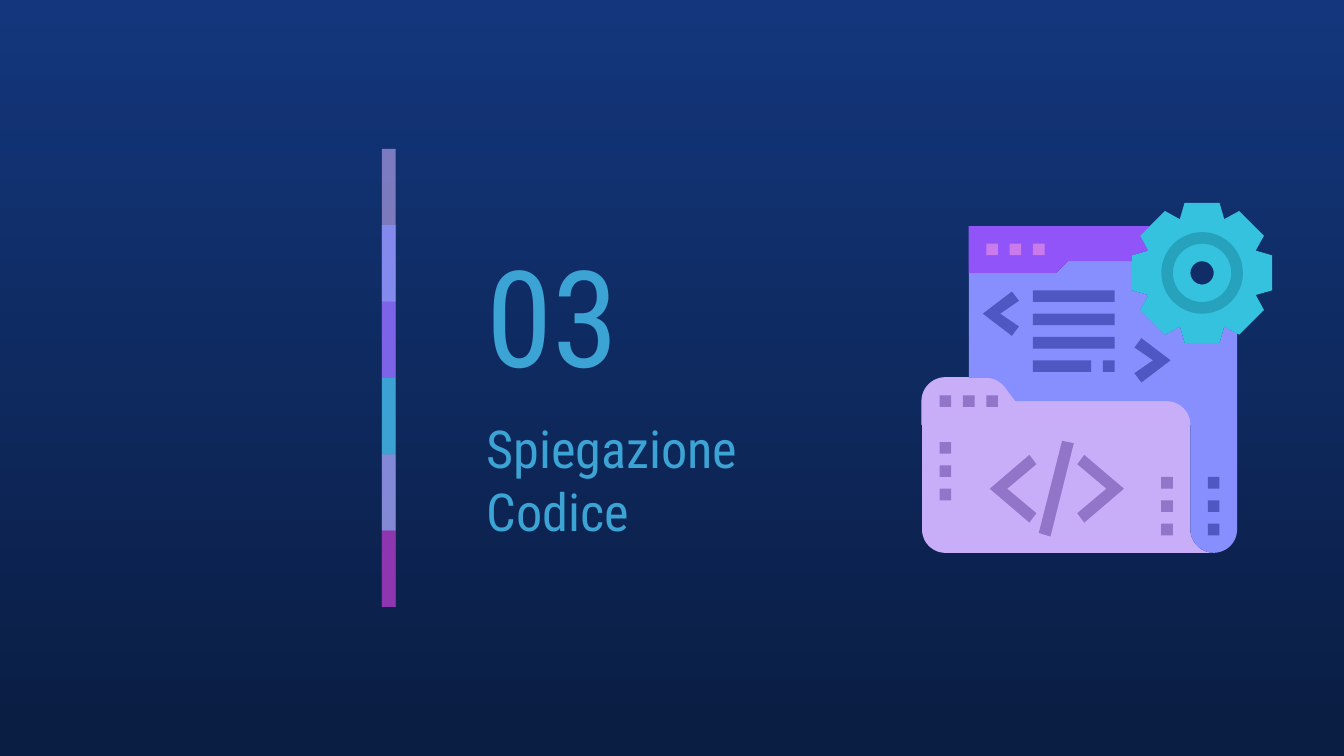
"""Build a section slide with a striped bar, a heading and a coding icon."""
import math

import pptx
import pptx.dml.color
import pptx.enum.shapes
import pptx.enum.text
import pptx.oxml
import pptx.oxml.ns
import pptx.util
from lxml import etree

Pt = pptx.util.Pt
SHAPE = pptx.enum.shapes.MSO_SHAPE
ANCHOR = pptx.enum.text.MSO_ANCHOR
qn = pptx.oxml.ns.qn

LILAC, PERIWINKLE, VIOLET, TEAL = "C8AEF8", "878FFF", "9154F8", "35C2DF"
PINK, MAUVE, INDIGO, DEEP_TEAL = "CA7BEB", "9275C8", "4F57C3", "26A2BC"


def colour(code):
    """Turn a hex string into a colour."""
    return pptx.dml.color.RGBColor.from_string(code)


def write(box, text, size=28, font="Roboto Condensed", ink="3CA4D5", anchor=ANCHOR.TOP):
    """Put formatted text into a box."""
    frame = box.text_frame
    frame.word_wrap = True
    frame.auto_size = pptx.enum.text.MSO_AUTO_SIZE.NONE
    frame.vertical_anchor = anchor
    frame.margin_left = frame.margin_right = Pt(7.2)
    frame.margin_top = frame.margin_bottom = Pt(7.2)
    para = frame.paragraphs[0]
    para.text = text
    para.alignment = pptx.enum.text.PP_ALIGN.LEFT
    para.space_before = Pt(0)
    for span in para.runs:
        span.font.name = font
        span.font.size = Pt(size)
        span.font.color.rgb = colour(ink)
    for gap in para._p.findall(qn("a:br")):
        etree.SubElement(gap, qn("a:rPr"), sz=str(size * 100))


def arc(x, y, radius, start, end, steps=12):
    """List points along a circular arc given in degrees."""
    angles = [math.radians(start + (end - start) * i / steps) for i in range(steps + 1)]
    return [(x + radius * math.cos(a), y + radius * math.sin(a)) for a in angles]


def gear_outline(x, y, teeth=8):
    """List three points for each gear tooth, clockwise from the top."""
    points = []
    for tooth in range(teeth):
        turn = math.radians(360 / teeth * tooth)
        for dx, dy in [(-1.5, -6), (1.5, -6), (1.9, -4.6)]:
            points.append((x + dx * math.cos(turn) - dy * math.sin(turn),
                           y + dx * math.sin(turn) + dy * math.cos(turn)))
    return points


class Painter:
    """Hold the current slide, the shape group and the icon grid."""

    left, top, unit = 494, 108.7, 6.25

    def __init__(self, page):
        """Start on a page."""
        self.page = page
        self.shapes = page.shapes

    def background(self, upper, lower):
        """Fill the page with a vertical gradient."""
        fill = self.page.background.fill
        fill.gradient()
        fill.gradient_angle = 270
        for stop, place, code in zip(fill.gradient_stops, (0, 1), (upper, lower)):
            stop.position = place
            stop.color.rgb = colour(code)

    def heading(self, index, text, x, y, width, height, **style):
        """Move and fill a placeholder."""
        box = self.page.placeholders[index]
        box.left, box.top, box.width, box.height = Pt(x), Pt(y), Pt(width), Pt(height)
        write(box, text, **style)

    def group(self):
        """Open a new group for the shapes that follow."""
        self.shapes = self.page.shapes.add_group_shape().shapes

    def paint(self, shape, code, opacity=100, edge=None):
        """Give a shape a plain fill and an optional edge."""
        shape.shadow.inherit = False
        shape.fill.solid()
        shape.fill.fore_color.rgb = colour(code)
        if opacity < 100:
            tint = shape.fill._xPr.find(".//" + qn("a:srgbClr"))
            etree.SubElement(tint, qn("a:alpha"), val=str(opacity * 1000))
        if edge:
            shape.line.color.rgb = colour(edge)
            shape.line.width = Pt(0.75)
        else:
            shape.line.fill.background()

    def bar(self, x, y, width, height, code, opacity=100):
        """Draw a rectangle in points."""
        shape = self.shapes.add_shape(SHAPE.RECTANGLE, Pt(x), Pt(y), Pt(width), Pt(height))
        self.paint(shape, code, opacity)

    def spot(self, x, y):
        """Turn a grid place into slide lengths."""
        return Pt(self.left + self.unit * x), Pt(self.top + self.unit * y)

    def block(self, x, y, code, width=1):
        """Draw a rectangle one grid unit high."""
        self.bar(self.left + self.unit * x, self.top + self.unit * y,
                 self.unit * width, self.unit, code)

    def outline(self, code, points, hole=(), edge=None):
        """Draw a closed outline on the grid with an optional hole."""
        spots = [self.spot(*point) for point in points]
        builder = self.shapes.build_freeform(*spots[0])
        builder.add_line_segments(spots[1:], close=True)
        if hole:
            inner = [self.spot(*point) for point in hole]
            builder.move_to(*inner[0])
            builder.add_line_segments(inner[1:], close=True)
        self.paint(builder.convert_to_shape(), code, edge=edge)

    def ring(self, x, y, radius, inner, code):
        """Draw a ring around a grid place."""
        side = Pt(self.unit * radius * 2)
        shape = self.shapes.add_shape(SHAPE.DONUT, *self.spot(x - radius, y - radius), side, side)
        shape.adjustments[0] = (radius - inner) / (radius * 2)
        self.paint(shape, code)

    def bracket(self, x, y, way, reach, rise, code):
        """Draw an angle bracket from its tip, opening right (1) or left (-1)."""
        end = reach + 0.6
        offsets = [(reach, -rise), (0, 0), (reach, rise),
                   (end, rise - 0.8), (1.5, 0), (end, 0.8 - rise)]
        self.outline(code, [(x + way * dx, y + dy) for dx, dy in offsets])


def draw_stripes(painter):
    """Draw the overlapping stripes of the vertical bar."""
    painter.group()
    stripes = [(LILAC, 59), (PERIWINKLE, 74), (VIOLET, 53), (TEAL, 76), (PINK, 56), ("972CB4", 74)]
    step = 40.9
    for i, (code, opacity) in enumerate(stripes):
        height = step if i == len(stripes) - 1 else step * 2
        painter.bar(204.6, 79.8 + step * i, 7.4, height, code, opacity)


def draw_icon(painter):
    """Draw the folder, the code page and the gear."""
    painter.group()
    gear = gear_outline(24, 6)
    tab_curve = arc(5.5, 17, 2, -90, -37)
    folder_corner = arc(21, 19, 2, -90, 0)
    painter.outline(LILAC, [(0, 19), *arc(2, 28, 2, 180, 90), *arc(25, 28, 2, 90, 180), (23, 19)])
    painter.outline(LILAC, [*arc(2, 17, 2, 270, 180), (0, 19), *folder_corner[::-1],
                            (8, 17), *tab_curve[::-1]], edge=LILAC)
    painter.outline(PERIWINKLE, [(12.5, 5), (11.5, 6), (4, 6), (4, 15), *tab_curve, (8, 17),
                                 *folder_corner, *arc(25, 28, 2, 180, 0, 24), (27, 11.2),
                                 *gear[11:20], (18, 5)])
    painter.outline(VIOLET, [(4, 2), (4, 6), (11.5, 6), (12.5, 5), (18, 5), *gear[19:22], (19.5, 2)])
    painter.ring(24, 6, 3, 1, TEAL)
    painter.outline(TEAL, gear, hole=arc(24, 6, 3, 360, 0, 48))
    painter.ring(24, 6, 3.5, 2.5, DEEP_TEAL)

    for i in range(3):
        painter.block(5.5 + 2 * i, 3.5, PINK)
        painter.block(1.5 + 2 * i, 16.5, MAUVE)
        painter.block(1.5, 20.5 + 2 * i, MAUVE)
        painter.block(20.5, 23.5 + 2 * i, MAUVE)
        painter.block(24.5, 23.5 + 2 * i, INDIGO)
        painter.block(9.5, 7.5 + 2 * i, INDIGO, width=7)
    painter.block(9.5, 13.5, INDIGO, width=5)
    painter.block(15.5, 13.5, INDIGO)

    painter.bracket(5.2, 9.5, 1, 2.5, 1.9, INDIGO)
    painter.bracket(21.3, 13.5, -1, 2.5, 1.9, INDIGO)
    painter.bracket(5.8, 24.5, 1, 3.4, 2.9, MAUVE)
    painter.bracket(17.3, 24.5, -1, 3.4, 2.9, MAUVE)
    painter.outline(MAUVE, [(12, 20.4), (10, 28.3), (11, 28.6), (13, 20.6)])


def main():
    """Build and save the deck."""
    deck = pptx.Presentation()
    deck.slide_width, deck.slide_height = Pt(720), Pt(405)
    painter = Painter(deck.slides.add_slide(deck.slide_layouts[0]))
    painter.background("13367C", "0A1D42")
    painter.heading(1, "03", 253.4, 119.5, 126, 97.2, size=72, anchor=ANCHOR.MIDDLE)
    painter.heading(0, "Spiegazione\vCodice", 253.4, 216, 206.6, 69.1)
    draw_stripes(painter)
    draw_icon(painter)
    deck.save("out.pptx")


if __name__ == "__main__":
    main()
